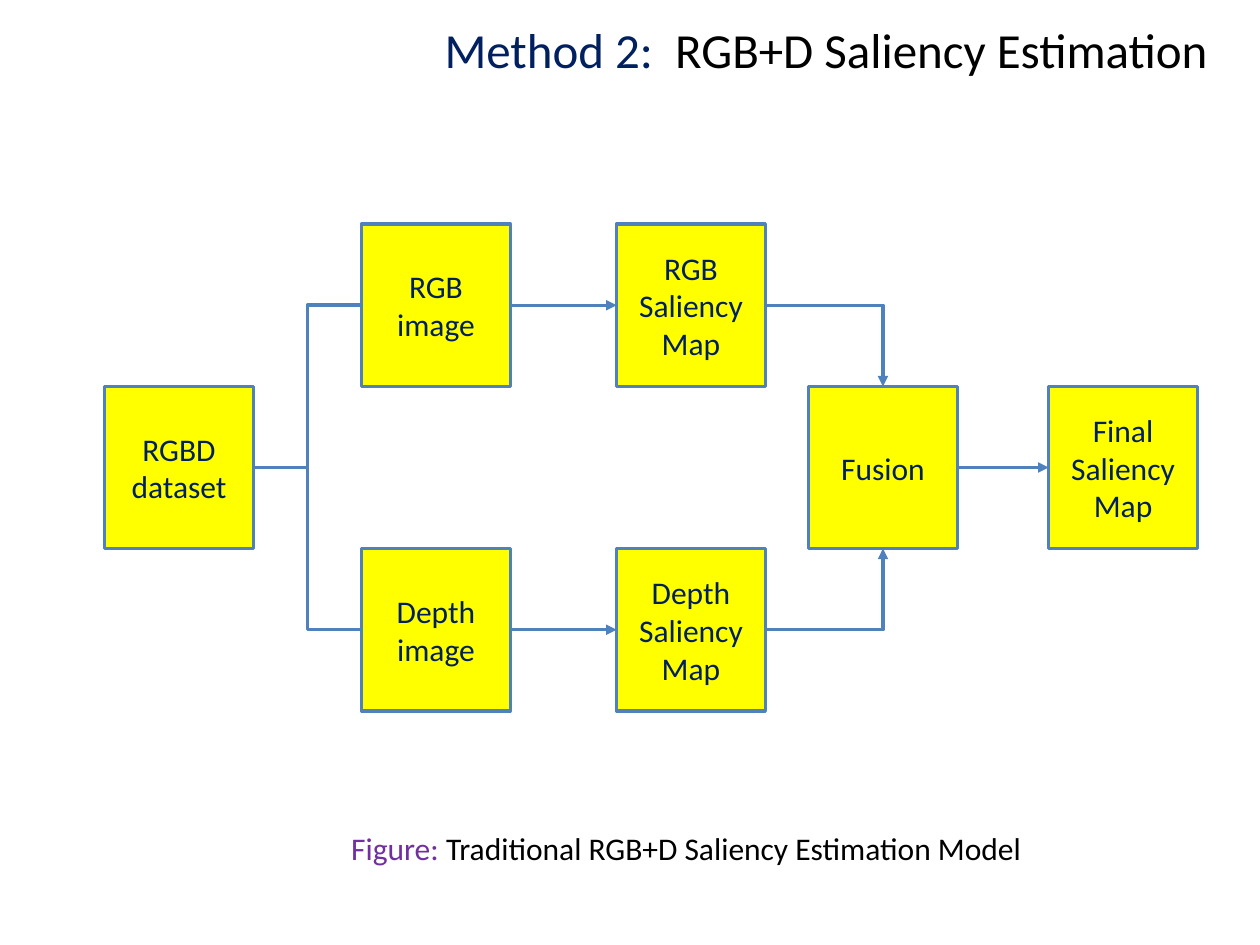
"""Build a slide with the flow chart of a traditional RGB+D saliency model."""
from lxml import etree
from pptx import Presentation
from pptx.dml.color import RGBColor
from pptx.enum.shapes import MSO_CONNECTOR, MSO_SHAPE
from pptx.enum.text import MSO_ANCHOR, MSO_AUTO_SIZE, PP_ALIGN
from pptx.oxml.ns import qn
from pptx.util import Cm, Pt

RECT = MSO_SHAPE.RECTANGLE
LINE, BENT = MSO_CONNECTOR.STRAIGHT, MSO_CONNECTOR.ELBOW
MIDDLE, CENTER = MSO_ANCHOR.MIDDLE, PP_ALIGN.CENTER
GROW = MSO_AUTO_SIZE.SHAPE_TO_FIT_TEXT
TOP, LEFT, BOTTOM, RIGHT = range(4)
COLORS = {"navy": "002060", "black": "000000", "purple": "7030A0",
          "blue": "4F81BD", "yellow": "FFFF00"}


def color(name):
    return RGBColor.from_string(COLORS[name])


def add_run(para, text, size, name):
    run = para.add_run()
    run.text = text
    run.font.size = Pt(size)
    run.font.name = "Calibri"
    run.font.color.rgb = color(name)


deck = Presentation()
deck.slide_width, deck.slide_height = Cm(25.4), Cm(19.05)
slide = deck.slides.add_slide(deck.slide_layouts[5])

title = slide.shapes.title
title.left, title.top, title.width, title.height = Cm(7.9), Cm(0.08), Cm(17.5), Cm(1.83)
title.text_frame.vertical_anchor = MIDDLE
para = title.text_frame.paragraphs[0]
para.alignment = CENTER
add_run(para, "Method 2: ", 28, "navy")
add_run(para, " RGB+D Saliency Estimation", 28, "black")

wide, high = 3.0, 3.27
cols = [2.11, 7.29, 12.43, 16.3, 21.14]
rows = [4.52 + high * i for i in range(3)]
nodes = {
    "data": (0, 1, ["RGBD dataset"]),
    "rgb": (1, 0, ["RGB", "image"]),
    "depth": (1, 2, ["Depth", "image"]),
    "rgb map": (2, 0, ["RGB Saliency Map"]),
    "depth map": (2, 2, ["Depth Saliency Map"]),
    "fusion": (3, 1, ["Fusion"]),
    "final": (4, 1, ["Final Saliency Map"]),
}
boxes = {}
for key, (col, row, lines) in nodes.items():
    box = slide.shapes.add_shape(RECT, Cm(cols[col]), Cm(rows[row]), Cm(wide), Cm(high))
    box.shadow.inherit = False
    box.fill.solid()
    box.fill.fore_color.rgb = color("yellow")
    box.line.color.rgb = color("blue")
    box.line.width = Pt(2)
    frame = box.text_frame
    frame.word_wrap = True
    frame.vertical_anchor = MIDDLE
    for i, text in enumerate(lines):
        para = frame.add_paragraph() if i else frame.paragraphs[0]
        para.alignment = CENTER
        add_run(para, text, 18, "navy")
    boxes[key] = box

links = [
    ("data", "rgb", BENT, LEFT, False),
    ("data", "depth", BENT, LEFT, False),
    ("rgb", "rgb map", LINE, LEFT, True),
    ("depth", "depth map", LINE, LEFT, True),
    ("rgb map", "fusion", BENT, TOP, True),
    ("depth map", "fusion", BENT, BOTTOM, True),
    ("fusion", "final", LINE, LEFT, True),
]
for start, end, kind, side, arrow in links:
    link = slide.shapes.add_connector(kind, Cm(0), Cm(0), Cm(0), Cm(0))
    link.begin_connect(boxes[start], RIGHT)
    link.end_connect(boxes[end], side)
    link.line.color.rgb = color("blue")
    link.line.width = Pt(2)
    props = link.element.spPr
    if side != LEFT:
        props.find(qn("a:prstGeom")).set("prst", "bentConnector2")
    if arrow:
        etree.SubElement(props.find(qn("a:ln")), qn("a:tailEnd"), type="triangle")
    etree.SubElement(props, qn("a:effectLst"))

note = slide.shapes.add_textbox(Cm(6.83), Cm(16.59), Cm(14.2), Cm(1.02))
note.text_frame.word_wrap = False
note.text_frame.auto_size = GROW
para = note.text_frame.paragraphs[0]
add_run(para, "Figure: ", 18, "purple")
add_run(para, "Traditional RGB+D Saliency Estimation Model", 18, "black")

deck.save("out.pptx")
